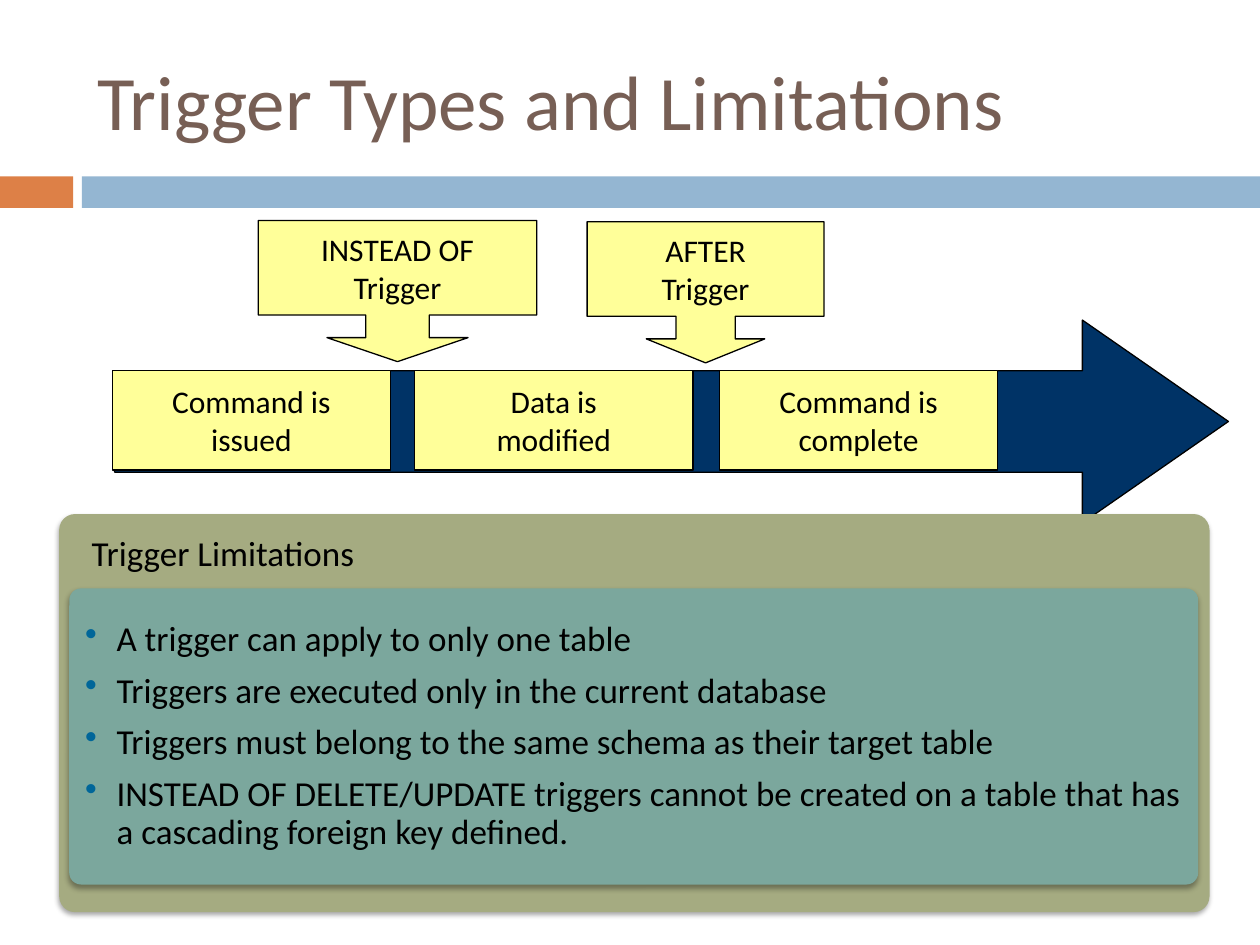
from lxml import etree
from pptx import Presentation
from pptx.dml.color import RGBColor
from pptx.enum.shapes import MSO_SHAPE
from pptx.enum.text import MSO_ANCHOR, PP_ALIGN
from pptx.oxml import parse_xml
from pptx.oxml.ns import nsdecls, qn
from pptx.util import Inches, Pt

RECTANGLE = MSO_SHAPE.RECTANGLE
ROUNDED = MSO_SHAPE.ROUNDED_RECTANGLE
RIGHT_ARROW = MSO_SHAPE.RIGHT_ARROW
CALLOUT = MSO_SHAPE.DOWN_ARROW_CALLOUT
MIDDLE = MSO_ANCHOR.MIDDLE
LEFT, CENTER = PP_ALIGN.LEFT, PP_ALIGN.CENTER

ORANGE = RGBColor(0xDD, 0x80, 0x47)
BLUE = RGBColor(0x94, 0xB6, 0xD2)
BROWN = RGBColor(0x77, 0x5F, 0x55)
NAVY = RGBColor(0x00, 0x33, 0x66)
YELLOW = RGBColor(0xFF, 0xFF, 0x99)
OLIVE = RGBColor(0xA5, 0xAB, 0x81)
TEAL = RGBColor(0x7B, 0xA7, 0x9D)
BLACK = RGBColor(0x00, 0x00, 0x00)
BULLET_COLOR = "006699"
FONT = "Calibri"

presentation = Presentation()
presentation.slide_width = Inches(10)
presentation.slide_height = Inches(7.5)
slide = presentation.slides.add_slide(presentation.slide_layouts[5])


def add_block(kind, box, fill, adjustments=(), outlined=False):
    """Add a filled preset shape without a shadow; box is left, top, width, height."""
    shape = slide.shapes.add_shape(kind, *[Inches(value) for value in box])
    shape.shadow.inherit = False
    shape.fill.solid()
    shape.fill.fore_color.rgb = fill
    if outlined:
        shape.line.color.rgb = BLACK
        shape.line.width = Pt(0.75)
    else:
        shape.line.fill.background()
    for index, value in enumerate(adjustments):
        shape.adjustments[index] = value
    return shape


def write(paragraph, text, size, color=BLACK, alignment=LEFT):
    paragraph.alignment = alignment
    run = paragraph.add_run()
    run.text = text
    run.font.name = FONT
    run.font.size = Pt(size)
    run.font.color.rgb = color


# Header band and title
add_block(RECTANGLE, (0, 1.4, 0.58, 0.25), ORANGE)
add_block(RECTANGLE, (0.65, 1.4, 9.35, 0.25), BLUE)

title = slide.shapes.title
title.left, title.top = Inches(0.67), Inches(0.25)
title.width, title.height = Inches(8.92), Inches(1.08)
title.text_frame.vertical_anchor = MIDDLE
write(title.text_frame.paragraphs[0], "Trigger Types and Limitations", 44, BROWN)

# Timeline: arrow, command stages, and the triggers that fire between them
add_block(RIGHT_ARROW, (0.91, 2.54, 8.84, 1.61), NAVY, (0.5, 0.72), outlined=True)

timeline_boxes = [
    (RECTANGLE, (0.89, 2.94, 2.21, 0.79), (), ("Command is", "issued")),
    (RECTANGLE, (3.29, 2.94, 2.21, 0.79), (), ("Data is", "modified")),
    (RECTANGLE, (5.71, 2.94, 2.21, 0.79), (), ("Command is", "complete")),
    (CALLOUT, (2.05, 1.75, 2.21, 1.12), (0.45, 0.5, 0.17, 0.67), ("INSTEAD OF", "Trigger")),
    (CALLOUT, (4.66, 1.76, 1.88, 1.12), (0.42, 0.42, 0.17, 0.67), ("AFTER", "Trigger")),
]
for kind, box, adjustments, lines in timeline_boxes:
    shape = add_block(kind, box, YELLOW, adjustments, outlined=True)
    frame = shape.text_frame
    frame.word_wrap = False
    frame.vertical_anchor = MIDDLE
    for index, line in enumerate(lines):
        paragraph = frame.add_paragraph() if index else frame.paragraphs[0]
        write(paragraph, line, 18, alignment=CENTER)

# Limitations panel
panel = add_block(ROUNDED, (0.47, 4.08, 9.13, 3.16), OLIVE, (0.04,))
card = add_block(ROUNDED, (0.55, 4.67, 8.96, 2.35), TEAL, (0.04,))
for shape in (panel, card):
    effects = shape._element.spPr.find(qn("a:effectLst"))
    effects.append(parse_xml(
        f'<a:outerShdw {nsdecls("a")} blurRad="{Pt(3)}" dist="{Pt(2)}" dir="5400000" rotWithShape="0">'
        '<a:srgbClr val="000000"><a:alpha val="35000"/></a:srgbClr></a:outerShdw>'))

limitations = [
    "A trigger can apply to only one table",
    "Triggers are executed only in the current database",
    "Triggers must belong to the same schema as their target table",
    "INSTEAD OF DELETE/UPDATE triggers cannot be created on a table that has "
    "a cascading foreign key defined.",
]
frame = card.text_frame
frame.word_wrap = True
frame.vertical_anchor = MIDDLE
for index, limitation in enumerate(limitations):
    paragraph = frame.add_paragraph() if index else frame.paragraphs[0]
    properties = paragraph._p.get_or_add_pPr()
    properties.set("marL", str(Inches(0.25)))
    properties.set("indent", str(-Inches(0.25)))
    bullet_color = etree.SubElement(properties, qn("a:buClr"))
    etree.SubElement(bullet_color, qn("a:srgbClr"), val=BULLET_COLOR)
    etree.SubElement(properties, qn("a:buChar"), char="•")
    paragraph.line_spacing = 0.9
    if index:
        paragraph.space_before = Pt(8)
    write(paragraph, limitation, 20)

heading = slide.shapes.add_textbox(Inches(0.63), Inches(4.17), Inches(8.2), Inches(0.43))
heading.text_frame.word_wrap = True
write(heading.text_frame.paragraphs[0], "Trigger Limitations", 20)

presentation.save("out.pptx")
